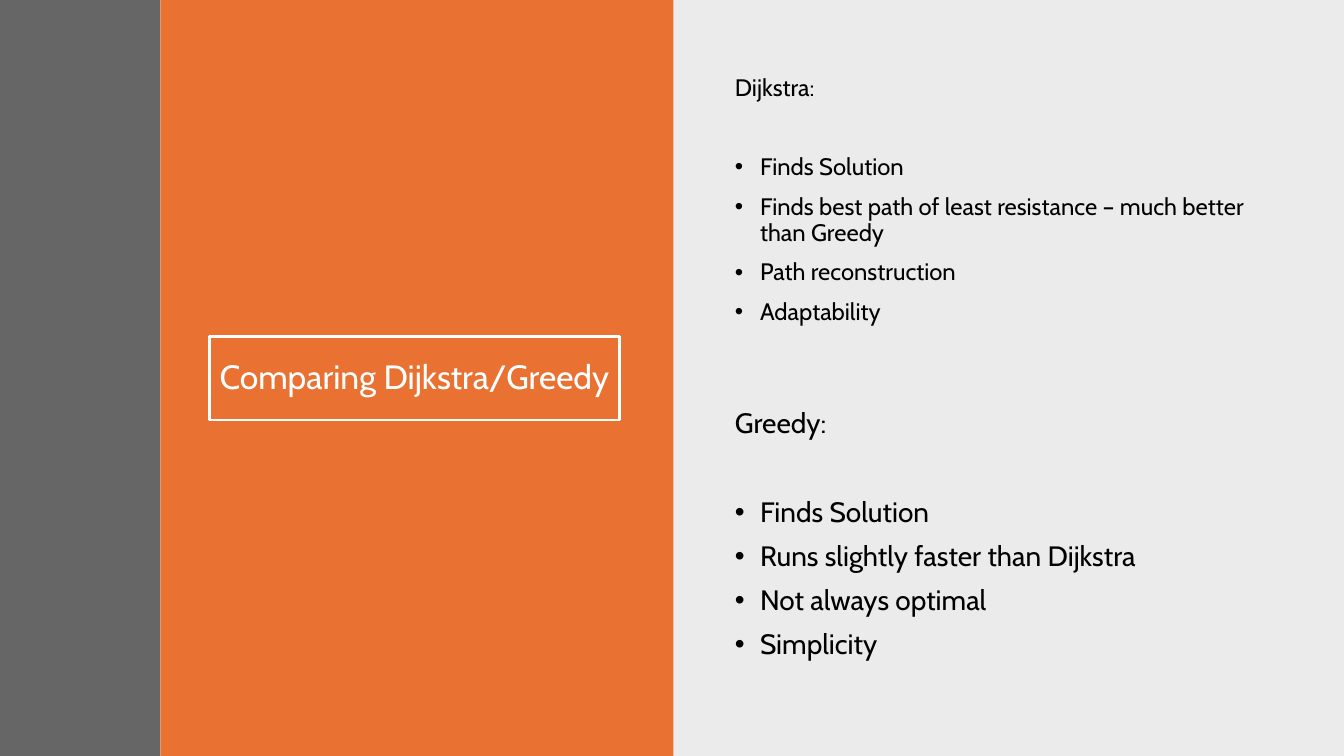
from lxml import etree
from pptx import Presentation
from pptx.dml.color import RGBColor as RGB
from pptx.enum.shapes import MSO_SHAPE as SHAPE
from pptx.enum.text import MSO_ANCHOR as ANCHOR, MSO_AUTO_SIZE as FIT, PP_ALIGN as ALIGN
from pptx.oxml.ns import qn
from pptx.util import Pt

COLORS = {"white": "FFFFFF", "black": "000000", "orange": "E97132", "gray": "404040"}


class SlideBuilder:
    """Holds the font, the colours and the slide being filled."""

    def __init__(self, slide, font="Cabin"):
        self.s = slide
        self.font = font

    def place(self, sp, box):
        sp.left, sp.top, sp.width, sp.height = map(Pt, box)

    def style(self, p, size, color):
        p.line_spacing = 0.9
        for r in p.runs:
            r.font.name = self.font
            r.font.size = Pt(size)
            r.font.color.rgb = RGB.from_string(COLORS[color])

    def panel(self, box, color, opacity=100):
        sp = self.s.shapes.add_shape(SHAPE.RECTANGLE, *map(Pt, box))
        sp.shadow.inherit = False
        sp.line.fill.background()
        sp.fill.solid()
        sp.fill.fore_color.rgb = RGB.from_string(COLORS[color])
        if opacity < 100:
            clr = sp.fill._xPr.find(qn("a:solidFill"))[0]
            etree.SubElement(clr, qn("a:alpha"), val=str(opacity * 1000))

    def title(self, text, box, size):
        sp = self.s.shapes.title
        self.place(sp, box)
        sp.line.color.rgb = RGB.from_string(COLORS["white"])
        sp.line.width = Pt(2)
        tf = sp.text_frame
        tf.text = text
        tf.word_wrap = True
        tf.auto_size = FIT.NONE
        tf.vertical_anchor = ANCHOR.MIDDLE
        tf.margin_left = tf.margin_right = Pt(4)
        p = tf.paragraphs[0]
        p.alignment = ALIGN.CENTER
        self.style(p, size, "white")
        self.bring_to_front(sp)

    def bullet_list(self, idx, heading, items, box, size):
        """Fill a body placeholder with a plain heading and bulleted items."""
        sp = self.s.placeholders[idx]
        self.place(sp, box)
        tf = sp.text_frame
        tf.text = "\n".join([heading, *items])
        tf.word_wrap = True
        tf.auto_size = FIT.NONE
        tf.vertical_anchor = ANCHOR.TOP
        for i, p in enumerate(tf.paragraphs):
            self.style(p, size, "black")
            p.space_before = Pt(10)
            p.space_after = Pt(0 if i else round(10 + 1.09 * size, 1))
            self.bullet(p, 18 if i else 0)
        self.bring_to_front(sp)

    def bullet(self, p, indent):
        """Hang a bullet by indent points; no indent means no bullet."""
        pPr = p._p.get_or_add_pPr()
        pPr.set("marL", str(Pt(indent)))
        pPr.set("indent", str(-Pt(indent)))
        if indent:
            etree.SubElement(pPr, qn("a:buFont"), typeface="Arial")
            etree.SubElement(pPr, qn("a:buChar"), char="•")
        else:
            etree.SubElement(pPr, qn("a:buNone"))

    def bring_to_front(self, sp):
        self.s.shapes._spTree.append(sp._element)


def main():
    prs = Presentation()
    prs.slide_width, prs.slide_height = Pt(960), Pt(540)
    two_content = prs.slide_layouts[3]
    b = SlideBuilder(prs.slides.add_slide(two_content))

    b.panel((480, 0, 480, 540), "black", 8)
    b.panel((114.5, 0, 366.5, 540), "orange")
    b.title("Comparing Dijkstra/Greedy", (149.5, 240.5, 293, 59.5), 24)
    b.panel((0, 0, 114.5, 540), "gray", 80)

    lists = [
        ("Dijkstra:", 17, 50.4, [
            "Finds Solution",
            "Finds best path of least resistance – much better than Greedy",
            "Path reconstruction",
            "Adaptability",
        ]),
        ("Greedy:", 20, 288.7, [
            "Finds Solution",
            "Runs slightly faster than Dijkstra",
            "Not always optimal",
            "Simplicity",
        ]),
    ]
    for idx, (heading, size, top, items) in enumerate(lists, start=1):
        b.bullet_list(idx, heading, items, (517.7, top, 398, 201), size)

    prs.save("out.pptx")


if __name__ == "__main__":
    main()
